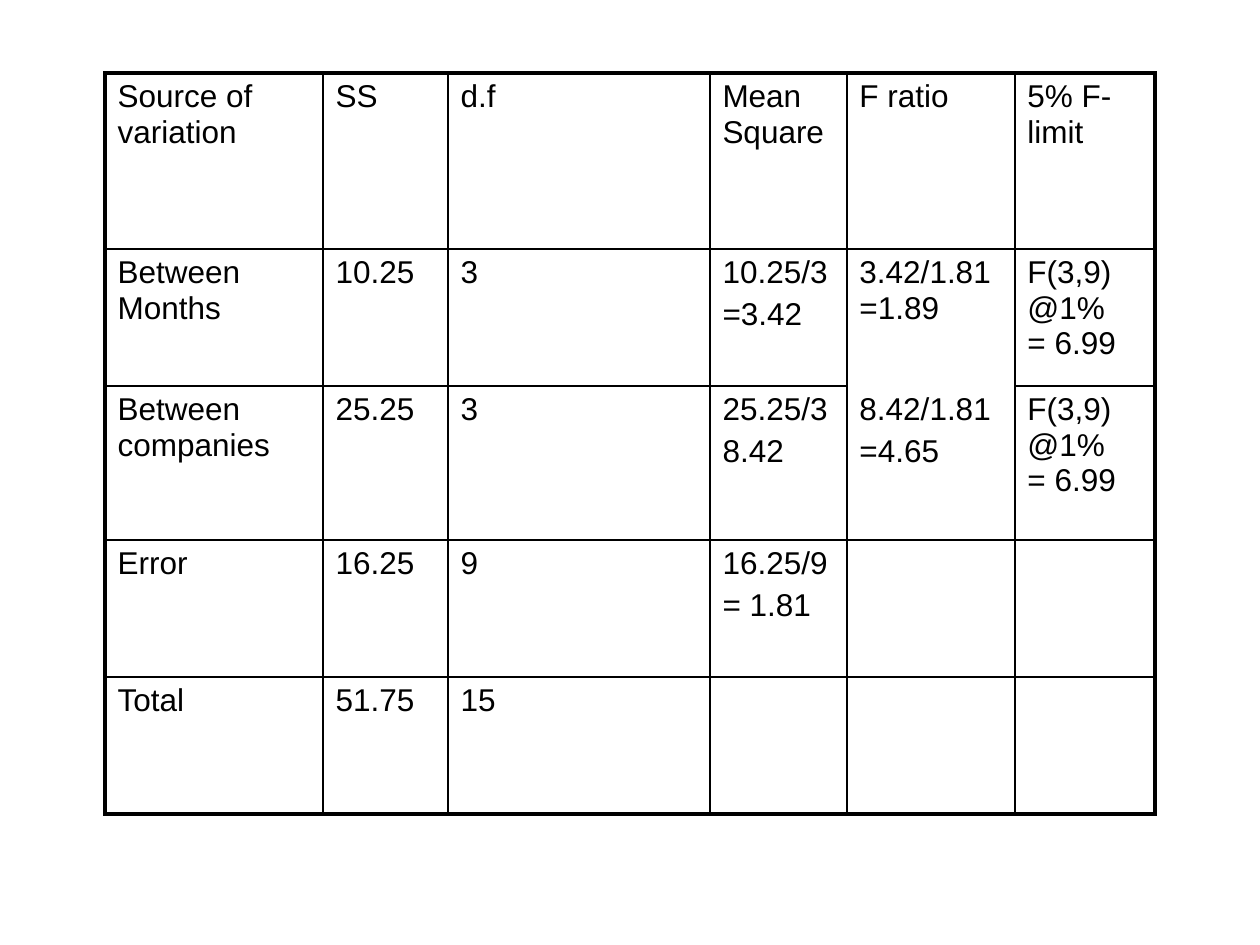
from dataclasses import dataclass

from lxml.etree import SubElement
from pptx import Presentation
from pptx.dml.color import RGBColor
from pptx.oxml.ns import qn
from pptx.util import Emu, Pt

PIXELS_PER_INCH = 126


@dataclass(frozen=True)
class Theme:
    """Colours, type and line widths of the slide."""

    ink: str = "000000"
    font: str = "Arial"
    text_size: int = 18
    paragraph_gap: float = 3.6
    outer_line: float = 2.25
    inner_line: float = 1


THEME = Theme()
SLIDE_SIZE = (1260, 945)
TABLE_BOX = (105, 73, 1050, 741)
COLUMN_WIDTHS = (218, 125, 262, 137, 168, 140)
ROW_HEIGHTS = (176, 137, 0, 154, 137, 137)
RATIO_COLUMN = 4
F_LIMIT = "F(3,9) @1%\v= 6.99"
ROWS = (
    ("Source of variation", "SS", "d.f", "Mean Square", "F ratio", "5% F-limit"),
    ("Between Months", "10.25", "3", "10.25/3\n=3.42", "3.42/1.81=1.89", F_LIMIT),
    ("", "", "", "", "8.42/1.81\n=4.65", ""),
    ("Between companies", "25.25", "3", "25.25/3\n8.42", "", F_LIMIT),
    ("Error", "16.25", "9", "16.25/9\n= 1.81", "", ""),
    ("Total", "51.75", "15", "", "", ""),
)


def px(length):
    """Turn a length in pixels into EMU."""
    return Emu(round(length * 914400 / PIXELS_PER_INCH))


def add_border(cell, side, width):
    """Draw one side of a cell, or leave it open when the width is zero."""
    line = SubElement(cell._tc.get_or_add_tcPr(), qn(f"a:ln{side}"), w=str(Pt(width)))
    if width:
        fill = SubElement(line, qn("a:solidFill"))
        SubElement(fill, qn("a:srgbClr"), val=THEME.ink)
    else:
        SubElement(line, qn("a:noFill"))


def style_borders(cell, row, column):
    """Give a cell thick outer edges, thin inner ones and the open ratio edge."""
    edges = {
        "L": column == 0,
        "R": column == len(COLUMN_WIDTHS) - 1,
        "T": row == 0,
        "B": row == len(ROW_HEIGHTS) - 1,
    }
    for side, is_outer in edges.items():
        is_open = column == RATIO_COLUMN and (row, side) in ((1, "B"), (2, "T"))
        width = THEME.outer_line if is_outer else THEME.inner_line
        add_border(cell, side, 0 if is_open else width)


def fill_cell(cell, text):
    """Write the lines of a cell in the theme's type."""
    cell.fill.background()
    cell.text = text
    for index, paragraph in enumerate(cell.text_frame.paragraphs):
        if index:
            paragraph.space_before = Pt(THEME.paragraph_gap)
        paragraph.font.name = THEME.font
        paragraph.font.size = Pt(THEME.text_size)
        paragraph.font.color.rgb = RGBColor.from_string(THEME.ink)


def add_variance_table(slide, box):
    """Place the analysis of variance table in the box."""
    frame = slide.shapes.add_table(len(ROWS), len(COLUMN_WIDTHS), *map(px, box))
    table = frame.table
    table.first_row = table.horz_banding = False
    for column, width in zip(table.columns, COLUMN_WIDTHS):
        column.width = px(width)
    for row, height in zip(table.rows, ROW_HEIGHTS):
        row.height = px(height)
    for row, texts in enumerate(ROWS):
        for column, text in enumerate(texts):
            cell = table.cell(row, column)
            style_borders(cell, row, column)
            fill_cell(cell, text)
    for column in range(len(COLUMN_WIDTHS)):
        top = 2 if column == RATIO_COLUMN else 1
        table.cell(top, column).merge(table.cell(top + 1, column))


def main():
    """Build and save the presentation."""
    presentation = Presentation()
    presentation.slide_width, presentation.slide_height = map(px, SLIDE_SIZE)
    slide = presentation.slides.add_slide(presentation.slide_layouts[6])
    add_variance_table(slide, TABLE_BOX)
    presentation.save("out.pptx")


if __name__ == "__main__":
    main()
